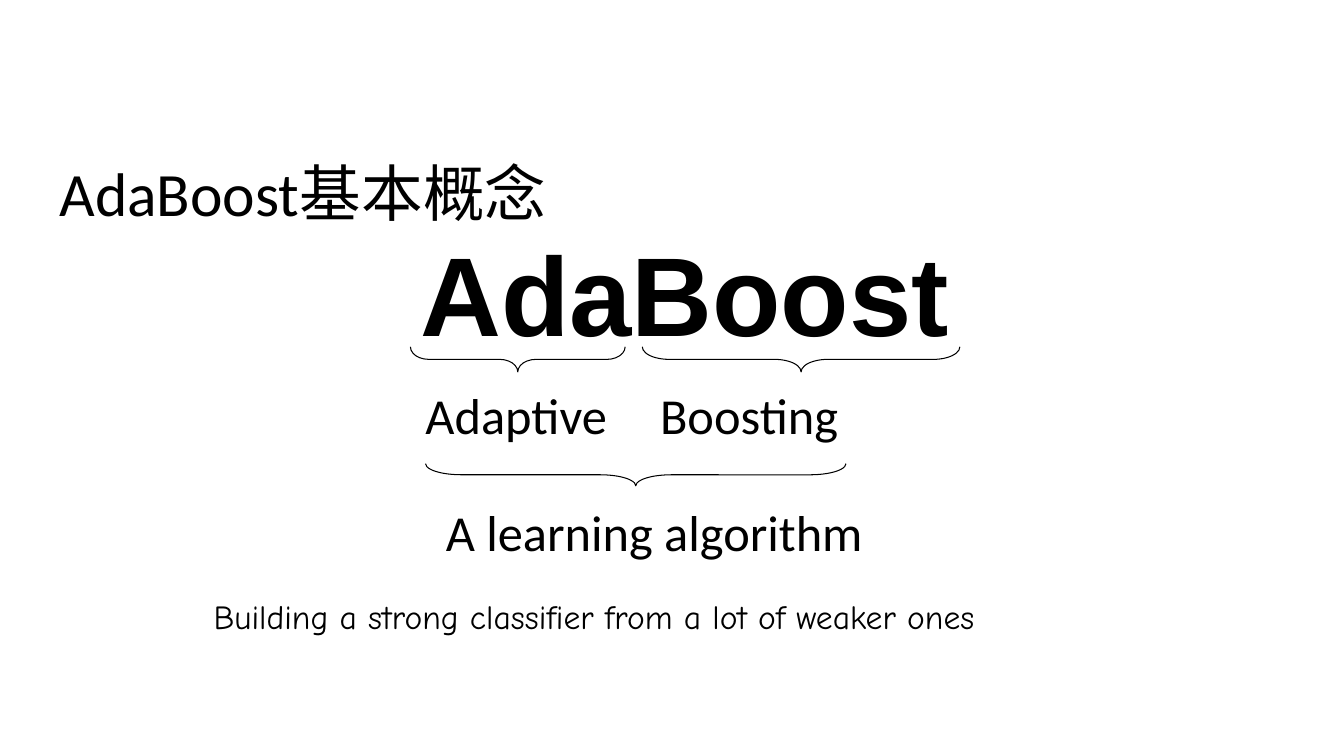
from pptx import Presentation
from pptx.dml.color import RGBColor
from pptx.enum.shapes import MSO_SHAPE
from pptx.enum.text import MSO_ANCHOR, PP_ALIGN
from pptx.util import Inches, Pt

RIGHT_BRACE = MSO_SHAPE.RIGHT_BRACE
TOP, MIDDLE = MSO_ANCHOR.TOP, MSO_ANCHOR.MIDDLE
LEFT, CENTER = PP_ALIGN.LEFT, PP_ALIGN.CENTER
COLORS = {"ink": "000000"}
INK = RGBColor.from_string(COLORS["ink"])

TITLE = ("AdaBoost基本概念", (0.49, 1.23, 11.5, 1.45))
TEXTS = [
    ("AdaBoost", (4.07, 2.18, 5.45, 1.43), "Arial", 80, True, LEFT),
    ("Building a strong classifier from a lot of weaker ones",
     (2.02, 5.86, 8.44, 0.5), "Comic Neue", 24, False, LEFT),
]
BRACES = [
    ("Adaptive", 4.07, 3.44, 2.13, 0.25, 0.722, 5.12, 3.76),
    ("Boosting", 6.37, 3.44, 3.15, 0.25, 1.056, 7.43, 3.76),
    ("A learning algorithm", 4.22, 4.6, 4.17, 0.22, 1.612, 6.49, 4.92),
]
LABEL_WIDTH, LABEL_HEIGHT = 4.4, 0.71


def write_text(shape, text, font_name, size, bold=False, align=LEFT, anchor=TOP):
    frame = shape.text_frame
    frame.word_wrap = True
    frame.vertical_anchor = anchor
    paragraph = frame.paragraphs[0]
    paragraph.text = text
    paragraph.alignment = align
    font = paragraph.font
    font.name, font.size, font.bold = font_name, Pt(size), bold
    font.color.rgb = INK
    return paragraph


def add_text(slide, text, box, *style):
    shape = slide.shapes.add_textbox(*map(Inches, box))
    write_text(shape, text, *style)


def add_brace(slide, left, top, span, depth, curve):
    offset = (span - depth) / 2
    box = (left + offset, top - offset, depth, span)
    brace = slide.shapes.add_shape(RIGHT_BRACE, *map(Inches, box))
    brace.rotation = 90
    brace.adjustments[0] = curve
    brace.shadow.inherit = False
    brace.fill.background()
    brace.line.color.rgb = INK
    brace.line.width = Pt(0.75)


def main():
    presentation = Presentation()
    presentation.slide_width, presentation.slide_height = Inches(13.33), Inches(7.5)
    slide = presentation.slides.add_slide(presentation.slide_layouts[5])

    title = slide.shapes.title
    text, box = TITLE
    title.left, title.top, title.width, title.height = map(Inches, box)
    write_text(title, text, "Calibri", 44, anchor=MIDDLE).line_spacing = 0.9

    for item in TEXTS:
        add_text(slide, *item)
    for label, left, top, span, depth, curve, label_center, label_top in BRACES:
        add_brace(slide, left, top, span, depth, curve)
        label_box = (label_center - LABEL_WIDTH / 2, label_top, LABEL_WIDTH, LABEL_HEIGHT)
        add_text(slide, label, label_box, "Calibri", 36, False, CENTER)

    presentation.save("out.pptx")


if __name__ == "__main__":
    main()
